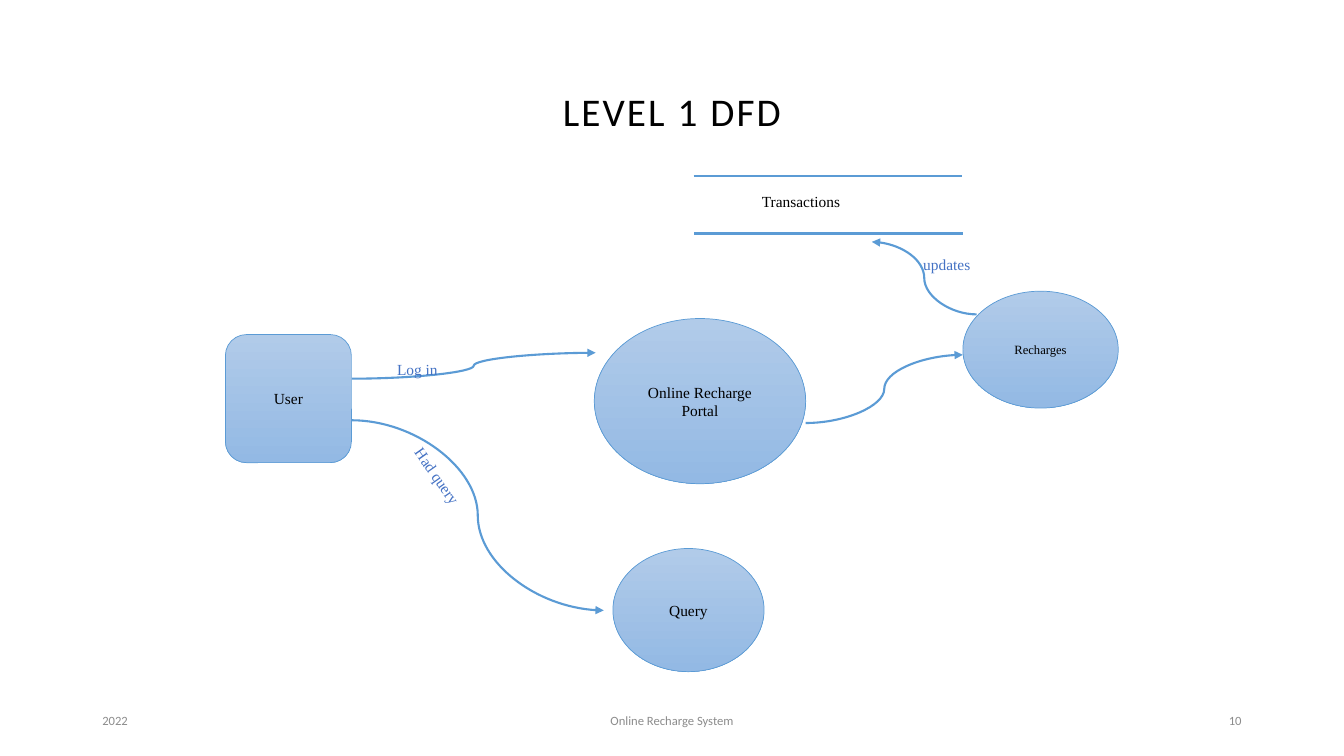
from pptx import Presentation
from pptx.dml.color import RGBColor
from pptx.enum.shapes import MSO_CONNECTOR as Connector, MSO_SHAPE as Shape
from pptx.enum.text import MSO_ANCHOR as Anchor, PP_ALIGN as Align
from pptx.oxml.ns import qn
from pptx.util import Pt
from lxml.etree import SubElement

BLACK = RGBColor(0x00, 0x00, 0x00)
GRAY = RGBColor(0x8C, 0x8C, 0x8C)
BLUE = RGBColor(0x5B, 0x9B, 0xD5)
LABEL_BLUE = RGBColor(0x44, 0x72, 0xC4)
GRADIENT = (RGBColor(0xB1, 0xCB, 0xE9), RGBColor(0x93, 0xB9, 0xE4))


class FlowDiagram:
    """Draws the parts of a data flow diagram on one slide, in points."""

    heading_font = "Calibri"
    diagram_font = "Times New Roman"

    def __init__(self, slide):
        self.slide = slide

    def set_text(self, shape, text, font, size, color, align, anchor):
        frame = shape.text_frame
        frame.word_wrap = True
        frame.vertical_anchor = anchor
        frame.text = text
        paragraph = frame.paragraphs[0]
        paragraph.alignment = align
        paragraph.font.name = font
        paragraph.font.size = Pt(size)
        paragraph.font.color.rgb = color
        return paragraph

    def title(self, text, left, top, width, height):
        shape = self.slide.shapes.title
        shape.left, shape.top = Pt(left), Pt(top)
        shape.width, shape.height = Pt(width), Pt(height)
        paragraph = self.set_text(shape, text, self.heading_font, 28, BLACK,
                                  Align.CENTER, Anchor.MIDDLE)
        paragraph.line_spacing = 0.9
        paragraph.runs[0]._r.get_or_add_rPr().set("spc", "150")

    def text_box(self, left, top, width, height):
        return self.slide.shapes.add_textbox(Pt(left), Pt(top), Pt(width), Pt(height))

    def footer(self, text, left, width, align):
        box = self.text_box(left, 500.4, width, 28.8)
        self.set_text(box, text, self.heading_font, 9, GRAY, align, Anchor.MIDDLE)

    def label(self, text, left, top, width, height, color=LABEL_BLUE, rotation=0):
        box = self.text_box(left, top, width, height)
        box.rotation = rotation
        self.set_text(box, text, self.diagram_font, 11, color, Align.LEFT, Anchor.TOP)

    def node(self, kind, text, left, top, width, height, size=11):
        shape = self.slide.shapes.add_shape(
            kind, Pt(left), Pt(top), Pt(width), Pt(height))
        shape.shadow.inherit = False
        shape.fill.gradient()
        shape.fill.gradient_angle = 270
        for stop, color in zip(shape.fill.gradient_stops, GRADIENT):
            stop.color.rgb = color
        shape.line.color.rgb = BLUE
        shape.line.width = Pt(0.5)
        self.set_text(shape, text, self.diagram_font, size, BLACK,
                      Align.CENTER, Anchor.MIDDLE)

    def line(self, start, end, kind=Connector.STRAIGHT):
        connector = self.slide.shapes.add_connector(
            kind, *(Pt(length) for length in (*start, *end)))
        connector.line.color.rgb = BLUE
        connector.line.width = Pt(1.5)
        SubElement(connector._element.spPr, qn("a:effectLst"))
        return connector

    def flow(self, start, end):
        connector = self.line(start, end, Connector.CURVE)
        outline = connector._element.spPr.find(qn("a:ln"))
        SubElement(outline, qn("a:tailEnd"), type="triangle")


def main():
    presentation = Presentation()
    presentation.slide_width, presentation.slide_height = Pt(960), Pt(540)
    slide = presentation.slides.add_slide(presentation.slide_layouts[5])
    diagram = FlowDiagram(slide)

    diagram.title("LEVEL 1 DFD", 66, 28.8, 828, 104.4)
    diagram.footer("2022", 66, 216, Align.LEFT)
    diagram.footer("Online Recharge System", 318, 324, Align.CENTER)
    diagram.footer("10", 678, 216, Align.RIGHT)

    diagram.node(Shape.ROUNDED_RECTANGLE, "User", 161, 239, 90, 91.5)
    diagram.node(Shape.OVAL, "Online Recharge Portal", 424.5, 227.5, 151, 118)
    diagram.node(Shape.OVAL, "Query", 437.8, 391.8, 108, 88)
    diagram.node(Shape.OVAL, "Recharges", 687.8, 208, 111, 83.5, size=9)

    diagram.line((495.4, 125.5), (686.9, 125.5))
    diagram.line((496, 166.8), (687.6, 166.8))
    diagram.label("Transactions", 537.1, 133.9, 141, 41.8, BLACK)

    diagram.flow((251.3, 300.2), (431.3, 436))
    diagram.flow((251.3, 270.5), (425.5, 252))
    diagram.flow((575.5, 302.2), (687.8, 253.5))
    diagram.flow((697.7, 224.6), (622.8, 172.8))

    diagram.label("Log in", 276.5, 253.4, 63.4, 28.8)
    diagram.label("Had query", 269.3, 337.7, 88.6, 37.4, rotation=55)
    diagram.label("updates", 652.3, 178.6, 68.4, 25.2)

    presentation.save("out.pptx")


if __name__ == "__main__":
    main()
